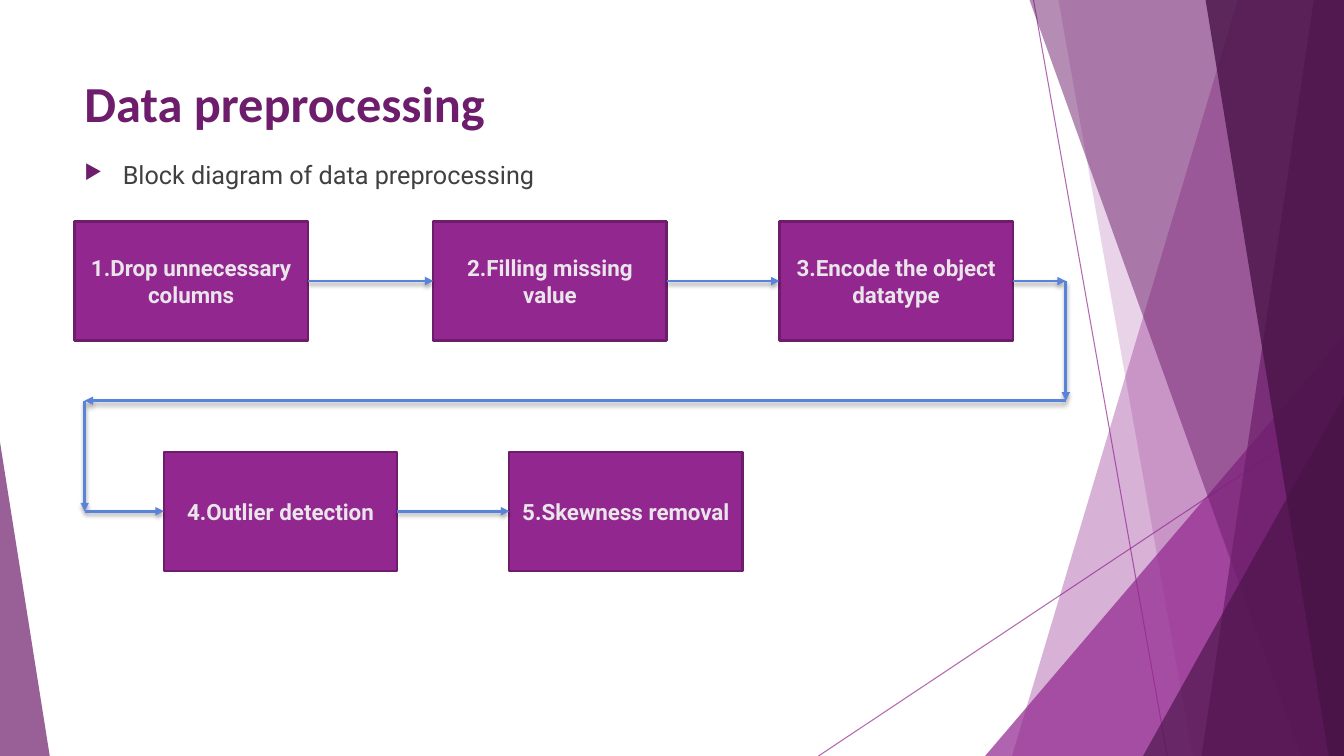
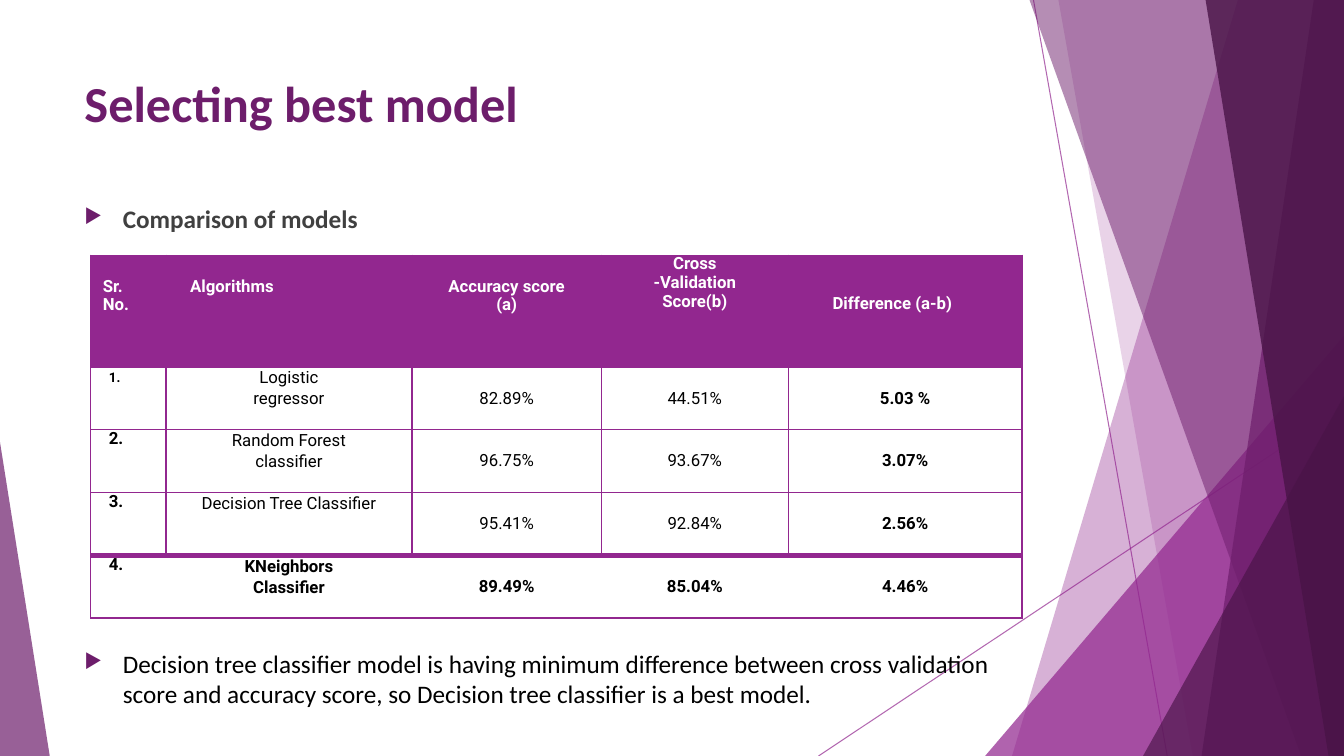
import itertools

import pptx
import pptx.dml.color
import pptx.enum.shapes
import pptx.enum.text
import pptx.oxml
import pptx.oxml.ns
import pptx.util
from lxml import etree

RGB = pptx.dml.color.RGBColor
PURPLE = RGB(0x92, 0x27, 0x8F)
PLUM = RGB(0x6D, 0x1D, 0x6B)
DARK_PLUM = RGB(0x49, 0x14, 0x47)
BLUE = RGB(0x59, 0x82, 0xDB)
PALE = RGB(0xEA, 0xE5, 0xEB)
GREY = RGB(0x40, 0x40, 0x40)
BLACK = RGB(0, 0, 0)
WHITE = RGB(255, 255, 255)

HEADING_FONT = "Calibri"
BODY_FONT = "Roboto"
WIDTH = pptx.util.Inches(13.33)
HEIGHT = pptx.util.Inches(7.5)
LEFT, TEXT_WIDTH = 5.55, 70.5

BACKDROP_LINES = [((76.9, 0), (86.85, 100)), ((100, 53.75), (60.9, 100))]
BACKDROP_FACETS = [
    ("band", (92.1, 75.3), PURPLE, 36),
    ("band", (78.75, 88.75), PURPLE, 20),
    ("triangle", (73.3, 44.4, 26.7, 1), PURPLE, 72),
    ("band", (76.6, 96.8), PLUM, 50),
    ("band", (97.75, 89.4), PLUM, 70),
    ("band", (89.7, 98.85), DARK_PLUM, 80),
    ("triangle", (85.05, 52.4, 14.95, 1), DARK_PLUM, 66),
    ("triangle", (0, 58.5, 3.7, 0), PLUM, 70),
]

STEP_WIDTH, STEP_HEIGHT = 17.35, 15.75
STEP_ROWS = (29.3, 59.75)
STEPS = [
    ("1.Drop unnecessary columns", 5.55, 0),
    ("2.Filling missing value", 32.25, 0),
    ("3.Encode the object datatype", 58, 0),
    ("4.Outlier detection", 12.2, 1),
    ("5.Skewness removal", 37.9, 1),
]
DIRECT_ARROWS = [(0, 1), (1, 2), (3, 4)]
RETURN_RIGHT, RETURN_LEFT, RETURN_ROW = 79.3, 6.3, 53

TABLE_LEFT, TABLE_TOP = 6.75, 33.75
TABLE_COLUMNS = [5.6, 18.3, 14.1, 13.9, 17.4]
TABLE_ROWS = [14.8, 8.3, 8.3, 8.3, 8.3]
HEADERS = [
    ("Sr.\nNo.", 0.12, 0.23, 12.8),
    ("Algorithms", 0.24, 0.23, 12.8),
    ("Accuracy score\n(a)", None, 0.23, 12.8),
    ("Cross\n-Validation\nScore(b)", None, 0, 13.5),
    ("Difference (a-b)", 0.44, 0.39, 13.5),
]
MODELS = [
    ("1.", "Logistic\nregressor", "82.89%", "44.51%", "5.03 %"),
    ("2.", "Random Forest\nclassifier", "96.75%", "93.67%", "3.07%"),
    ("3.", "Decision Tree Classifier", "95.41%", "92.84%", "2.56%"),
    ("4.", "KNeighbors\nClassifier", "89.49%", "85.04%", "4.46%"),
]
BODY_LAYOUT = [(0.18, 0, 13.6), (None, 0, 15)] + [(None, 0.2, 15)] * 3


def across(share):
    return int(WIDTH * share / 100)


def down(share):
    return int(HEIGHT * share / 100)


def place(left, top, width, height):
    return across(left), down(top), across(width), down(height)


def add_xml(parent, tag, **attributes):
    return etree.SubElement(parent, pptx.oxml.ns.qn(tag), attributes)


def set_opacity(shape, percent):
    for colour in shape.element.iter(pptx.oxml.ns.qn("a:srgbClr")):
        add_xml(colour, "a:alpha", val=str(percent * 1000))


def format_text(text_frame, font_name, size, colour, bold):
    for paragraph in text_frame.paragraphs:
        for run in paragraph.runs:
            run.font.name = font_name
            run.font.size = pptx.util.Pt(size)
            run.font.color.rgb = colour
            run.font.bold = bold


def add_line(shapes, start, end, colour, width):
    line = shapes.add_connector(
        pptx.enum.shapes.MSO_CONNECTOR.STRAIGHT,
        across(start[0]), down(start[1]), across(end[0]), down(end[1]))
    line.line.color.rgb = colour
    line.line.width = pptx.util.Pt(width)
    return line, add_xml(line.element.spPr, "a:effectLst")


def add_band(shapes, top_left, bottom_left):
    builder = shapes.build_freeform(across(top_left), 0)
    builder.add_line_segments(
        [(WIDTH, 0), (WIDTH, HEIGHT), (across(bottom_left), HEIGHT)])
    return builder.convert_to_shape()


def add_triangle(shapes, left, top, width, apex):
    triangle = shapes.add_shape(
        pptx.enum.shapes.MSO_SHAPE.ISOSCELES_TRIANGLE,
        *place(left, top, width, 100 - top))
    triangle.adjustments[0] = apex
    return triangle


def add_backdrop(layout, slide):
    for placeholder in list(layout.placeholders):
        layout.shapes.element.remove(placeholder.element)
    group = slide.shapes.add_group_shape()
    for start, end in BACKDROP_LINES:
        line, _ = add_line(group.shapes, start, end, PURPLE, 0.75)
        set_opacity(line, 70)
    draw = {"band": add_band, "triangle": add_triangle}
    for kind, geometry, colour, opacity in BACKDROP_FACETS:
        facet = draw[kind](group.shapes, *geometry)
        facet.shadow.inherit = False
        facet.fill.solid()
        facet.fill.fore_color.rgb = colour
        facet.line.fill.background()
        set_opacity(facet, opacity)
    layout.shapes.element.append(group.element)


def add_text(slide, text, top, height, font_name, size, colour, bold):
    box = slide.shapes.add_textbox(*place(LEFT, top, TEXT_WIDTH, height))
    box.text_frame.word_wrap = True
    box.text_frame.text = text
    format_text(box.text_frame, font_name, size, colour, bold)
    return box


def add_title(slide, text):
    add_text(slide, text, 8.9, 13.3, HEADING_FONT, 36, PLUM, True)


def add_bullet(slide, text, top, height, font_name, colour, bold):
    box = add_text(slide, text, top, height, font_name, 18, colour, bold)
    indent = pptx.util.Inches(0.38)
    for paragraph in box.text_frame.paragraphs:
        properties = paragraph._p.get_or_add_pPr()
        properties.set("marL", str(indent))
        properties.set("indent", str(-indent))
        bullet_colour = add_xml(properties, "a:buClr")
        add_xml(bullet_colour, "a:srgbClr", val=str(PLUM))
        add_xml(properties, "a:buSzPct", val="80000")
        add_xml(properties, "a:buChar", char="▶")


def add_step(slide, text, left, row):
    step = slide.shapes.add_shape(
        pptx.enum.shapes.MSO_SHAPE.RECTANGLE,
        *place(left, STEP_ROWS[row], STEP_WIDTH, STEP_HEIGHT))
    step.shadow.inherit = False
    step.fill.solid()
    step.fill.fore_color.rgb = PURPLE
    step.line.color.rgb = PLUM
    step.line.width = pptx.util.Pt(1.5)
    step.text_frame.word_wrap = True
    step.text_frame.vertical_anchor = pptx.enum.text.MSO_ANCHOR.MIDDLE
    step.text_frame.text = text
    step.text_frame.paragraphs[0].alignment = pptx.enum.text.PP_ALIGN.CENTER
    format_text(step.text_frame, BODY_FONT, 16, PALE, True)
    return step


def add_arrow(slide, start, end, source=None, target=None):
    arrow, effects = add_line(slide.shapes, start, end, BLUE, 2)
    add_xml(arrow.line._get_or_add_ln(), "a:tailEnd", type="triangle")
    shadow = add_xml(effects, "a:outerShdw", blurRad="38100", dist="25400",
                     dir="5400000", rotWithShape="0")
    shadow_colour = add_xml(shadow, "a:srgbClr", val=str(BLACK))
    add_xml(shadow_colour, "a:alpha", val="35000")
    if source is not None:
        arrow.begin_connect(source, 3)
    if target is not None:
        arrow.end_connect(target, 1)


def build_preprocessing(slide):
    add_title(slide, "Data preprocessing")
    add_bullet(slide, "Block diagram of data preprocessing", 20.4, 5.3,
               BODY_FONT, GREY, False)
    steps = [add_step(slide, *step) for step in STEPS]
    for source, target in DIRECT_ARROWS:
        add_arrow(slide, (0, 0), (0, 0), steps[source], steps[target])
    upper, lower = [top + STEP_HEIGHT / 2 for top in STEP_ROWS]
    route = [
        (STEPS[2][1] + STEP_WIDTH, upper), (RETURN_RIGHT, upper),
        (RETURN_RIGHT, RETURN_ROW), (RETURN_LEFT, RETURN_ROW),
        (RETURN_LEFT, lower), (STEPS[3][1], lower),
    ]
    sources = {0: steps[2]}
    targets = {len(route) - 2: steps[3]}
    for index, (start, end) in enumerate(itertools.pairwise(route)):
        add_arrow(slide, start, end, sources.get(index), targets.get(index))


def set_borders(cell, widths):
    properties = cell._tc.get_or_add_tcPr()
    for index, (side, width) in enumerate(zip("LRTB", widths)):
        border = add_xml(properties, f"a:ln{side}",
                         w=str(pptx.util.Pt(width)))
        if width:
            fill = add_xml(border, "a:solidFill")
            add_xml(fill, "a:srgbClr", val=str(PURPLE))
        else:
            add_xml(border, "a:noFill")
        properties.insert(index, border)


def fill_cell(cell, text, indent, top, line_height, size, colour, bold):
    cell.margin_left = pptx.util.Inches(indent or 0)
    cell.margin_top = pptx.util.Inches(top)
    cell.margin_right = cell.margin_bottom = 0
    cell.text_frame.text = text
    for paragraph in cell.text_frame.paragraphs:
        paragraph.line_spacing = pptx.util.Pt(line_height)
        if indent is None:
            paragraph.alignment = pptx.enum.text.PP_ALIGN.CENTER
    format_text(cell.text_frame, BODY_FONT, size, colour, bold)


def add_comparison(slide):
    table = slide.shapes.add_table(
        len(TABLE_ROWS), len(TABLE_COLUMNS),
        *place(TABLE_LEFT, TABLE_TOP, sum(TABLE_COLUMNS), sum(TABLE_ROWS))).table
    table.first_row = table.horz_banding = False
    for column, share in zip(table.columns, TABLE_COLUMNS):
        column.width = across(share)
    for row, share in zip(table.rows, TABLE_ROWS):
        row.height = down(share)
    last_row, last_column = len(TABLE_ROWS) - 1, len(TABLE_COLUMNS) - 1
    for row, column in itertools.product(range(last_row + 1),
                                         range(last_column + 1)):
        cell = table.cell(row, column)
        if row == 0:
            fill_cell(cell, *HEADERS[column], 12, WHITE, True)
            cell.fill.solid()
            cell.fill.fore_color.rgb = PURPLE
        else:
            bold = column in (0, last_column) or row == last_row
            size = 9.6 if (row, column) == (1, 0) else 12
            fill_cell(cell, MODELS[row - 1][column], *BODY_LAYOUT[column],
                      size, BLACK, bold)
            cell.fill.background()
        inner = 0 if row == last_row else 1
        set_borders(cell, (
            1 if column == 0 else inner,
            1 if column == last_column else inner,
            4 if row == last_row else 1,
            4 if row == last_row - 1 else 1))


def build_selection(slide):
    add_title(slide, "Selecting best model")
    add_bullet(slide, "Comparison of models", 26.3, 5.3,
               HEADING_FONT, GREY, True)
    add_comparison(slide)
    add_bullet(
        slide,
        "Decision tree classifier model is having minimum difference between "
        "cross validation score and accuracy score, so Decision tree "
        "classifier is a best model.",
        85.1, 9.5, HEADING_FONT, BLACK, False)


def main():
    presentation = pptx.Presentation()
    presentation.slide_width = WIDTH
    presentation.slide_height = HEIGHT
    layout = presentation.slide_layouts[6]
    slides = [presentation.slides.add_slide(layout) for _ in range(2)]
    add_backdrop(layout, slides[0])
    build_preprocessing(slides[0])
    build_selection(slides[1])
    presentation.save("out.pptx")


if __name__ == "__main__":
    main()
